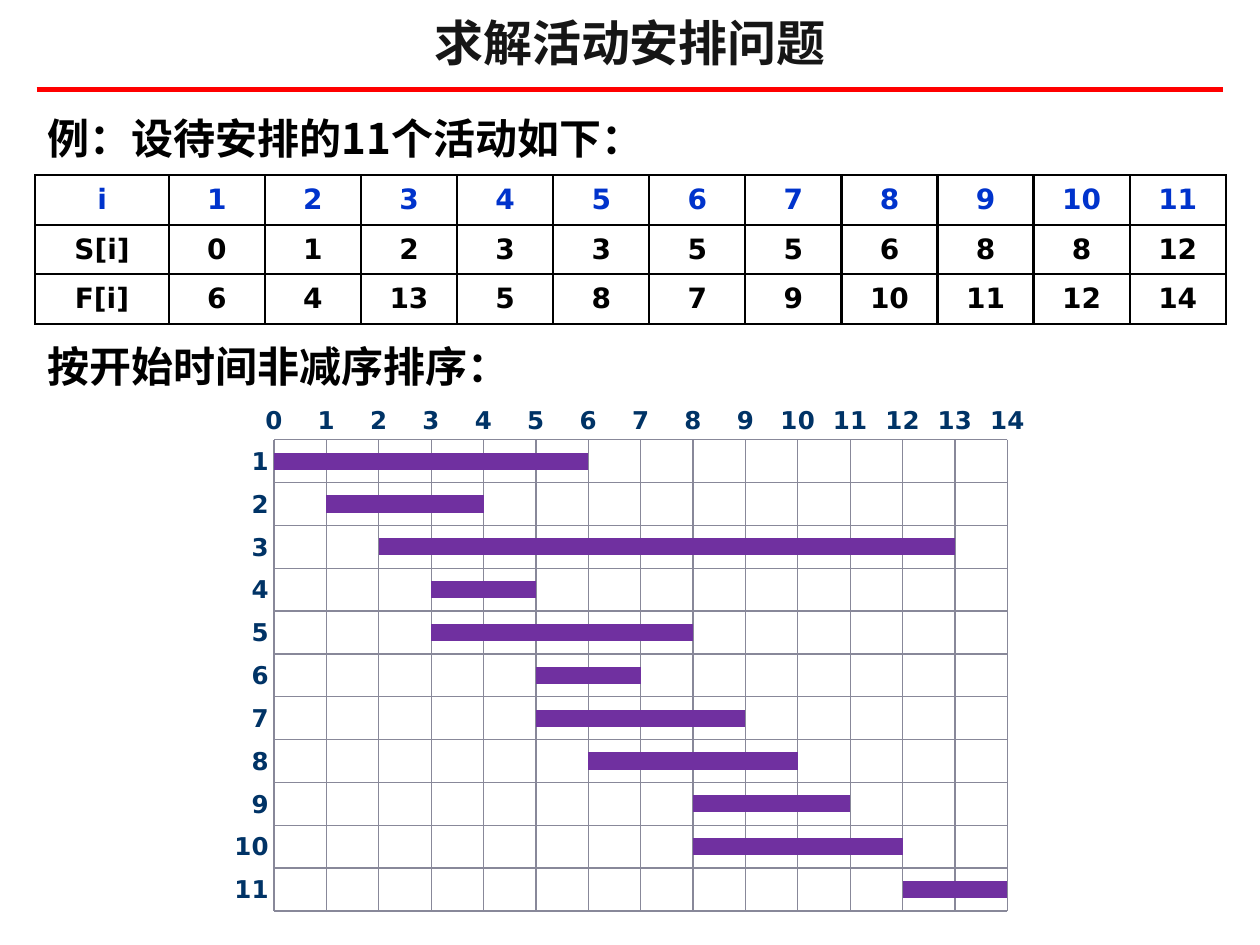
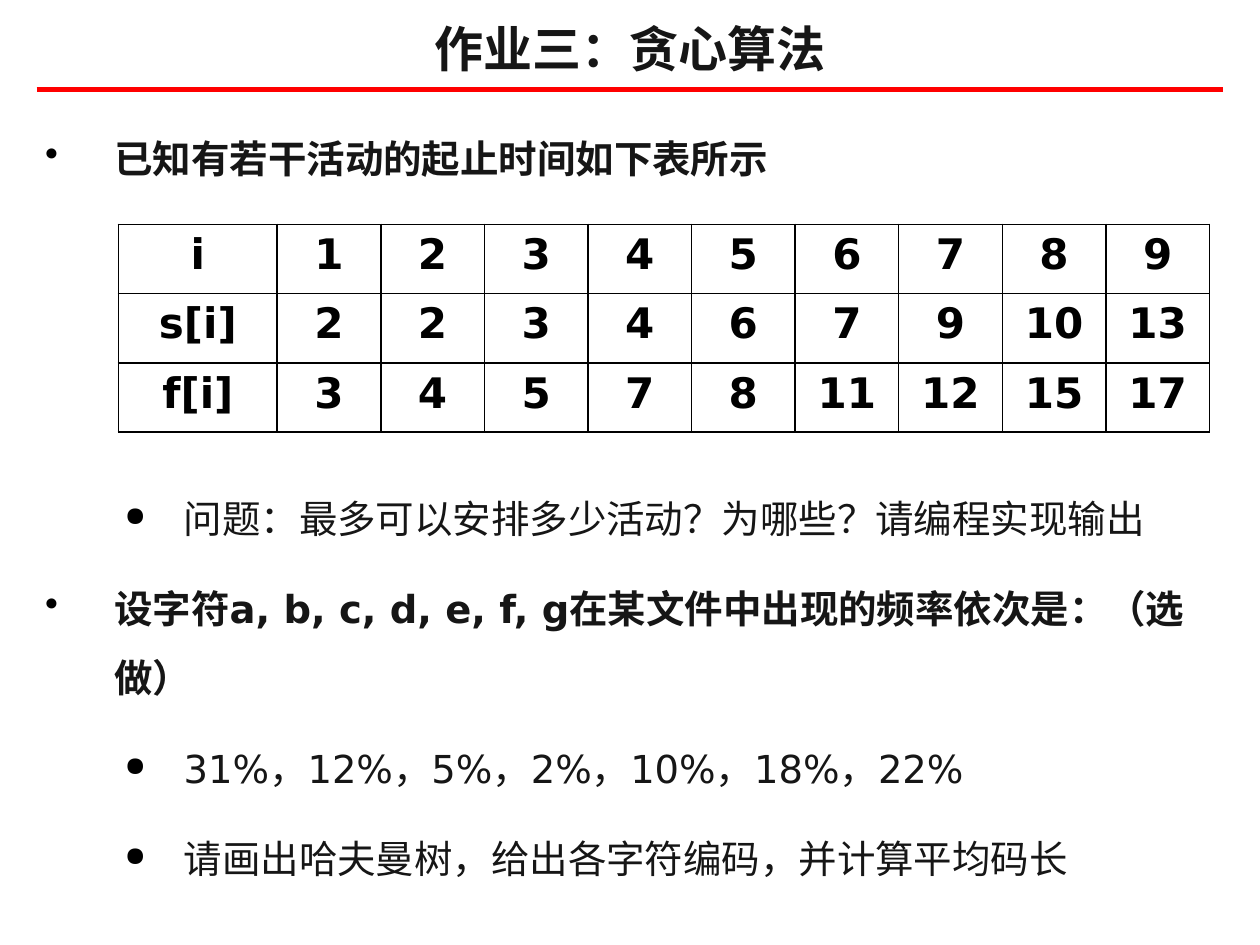
from lxml import etree
from pptx import Presentation
from pptx.chart import data
from pptx.dml.color import RGBColor
from pptx.enum import chart as kinds, shapes, text
from pptx.oxml import ns
from pptx.util import Inches, Pt

RED = RGBColor(0xFF, 0x00, 0x00)
INK = RGBColor(0x16, 0x16, 0x16)
BLACK = RGBColor(0x00, 0x00, 0x00)
BLUE = RGBColor(0x00, 0x33, 0xCC)
NAVY = RGBColor(0x00, 0x33, 0x66)
PURPLE = RGBColor(0x70, 0x30, 0xA0)
GRID = RGBColor(0x88, 0x88, 0x99)
LATIN = "DejaVu Sans"
CHINESE = "Noto Sans CJK SC"

STARTS = [0, 1, 2, 3, 3, 5, 5, 6, 8, 8, 12]
FINISHES = [6, 4, 13, 5, 8, 7, 9, 10, 11, 12, 14]
ACTIVITIES = [
    ["i", *range(1, 12)],
    ["S[i]", *STARTS],
    ["F[i]", *FINISHES],
]
HOMEWORK = [
    ["i", *range(1, 10)],
    ["s[i]", 2, 2, 3, 4, 6, 7, 9, 10, 13],
    ["f[i]", 3, 4, 5, 7, 8, 11, 12, 15, 17],
]
TABLE_GAP = 166
TASKS = [
    (0, 12, "已知有若干活动的起止时间如下表所示"),
    (1, TABLE_GAP, "问题：最多可以安排多少活动？为哪些？请编程实现输出"),
    (0, 12, "设字符a, b, c, d, e, f, g在某文件中出现的频率依次是：（选做）"),
    (1, 12, "31%，12%，5%，2%，10%，18%，22%"),
    (1, 12, "请画出哈夫曼树，给出各字符编码，并计算平均码长"),
]


def add_element(parent, tag, **attributes):
    return etree.SubElement(parent, ns.qn(tag), attributes)


def style_font(font, size, color, bold=True, name=LATIN):
    font.size = Pt(size)
    font.bold = bold
    font.name = name
    font.color.rgb = color


def style_paragraph(para, size, color, bold=True, name=LATIN):
    for span in para.runs:
        style_font(span.font, size, color, bold, name)
        add_element(span.font._element, "a:ea", typeface=CHINESE)


def add_text_box(page, left, top, width, height):
    box = page.shapes.add_textbox(
        Inches(left), Inches(top), Inches(width), Inches(height))
    box.text_frame.word_wrap = True
    return box.text_frame


def add_heading(page, left, top, width, height, words, size=24, color=BLACK,
                align=text.PP_ALIGN.LEFT):
    frame = add_text_box(page, left, top, width, height)
    frame.text = words
    para = frame.paragraphs[0]
    para.alignment = align
    style_paragraph(para, size, color, name=CHINESE)


def add_titled_page(deck, title, top, height):
    page = deck.slides.add_slide(deck.slide_layouts[6])
    rule = page.shapes.add_connector(
        shapes.MSO_CONNECTOR.STRAIGHT,
        Inches(0.29), Inches(0.71), Inches(9.71), Inches(0.71))
    rule.line.color.rgb = RED
    rule.line.width = Pt(3)
    add_element(rule._element.spPr, "a:effectLst")
    add_heading(page, 0, top, 10, height, title, 28, INK, text.PP_ALIGN.CENTER)
    return page


def add_borders(cell, points):
    properties = cell._tc.get_or_add_tcPr()
    for side in ("a:lnL", "a:lnR", "a:lnT", "a:lnB"):
        line = add_element(properties, side, w=str(Pt(points)))
        fill = add_element(line, "a:solidFill")
        add_element(fill, "a:srgbClr", val=str(BLACK))


def add_time_table(page, left, top, width, height, rows, label_width, size,
                   border, anchor, header_color=BLACK):
    columns = len(rows[0])
    table = page.shapes.add_table(
        len(rows), columns, Inches(left), Inches(top),
        Inches(width), Inches(height)).table
    table.first_row = False
    table.horz_banding = False
    value_width = (width - label_width) / (columns - 1)
    for index, column in enumerate(table.columns):
        column.width = Inches(value_width if index else label_width)
    for index, values in enumerate(rows):
        table.rows[index].height = Inches(height / len(rows))
        for cell, value in zip(table.rows[index].cells, values):
            cell.text = str(value)
            cell.vertical_anchor = anchor
            add_borders(cell, border)
            cell.fill.background()
            para = cell.text_frame.paragraphs[0]
            para.alignment = text.PP_ALIGN.CENTER
            style_paragraph(para, size, BLACK if index else header_color)


def style_axis(axis):
    axis.has_major_gridlines = True
    axis.major_tick_mark = kinds.XL_TICK_MARK.NONE
    axis.minor_tick_mark = kinds.XL_TICK_MARK.NONE
    for line in (axis.major_gridlines.format.line, axis.format.line):
        line.color.rgb = GRID
        line.width = Pt(0.75)
    style_font(axis.tick_labels.font, 14, NAVY)


def fix_plot_area(chart, **fractions):
    area = chart._chartSpace.chart.plotArea
    for old in area.findall(ns.qn("c:layout")):
        area.remove(old)
    layout = etree.Element(ns.qn("c:layout"))
    area.insert(0, layout)
    manual = add_element(layout, "c:manualLayout")
    add_element(manual, "c:layoutTarget", val="inner")
    add_element(manual, "c:xMode", val="edge")
    add_element(manual, "c:yMode", val="edge")
    for key, fraction in fractions.items():
        add_element(manual, "c:" + key, val=str(fraction))


def add_schedule_chart(page, left, top, width, height):
    schedule = data.CategoryChartData()
    schedule.categories = [str(number) for number in ACTIVITIES[0][1:]]
    schedule.add_series("Series 1", STARTS)
    schedule.add_series(
        "Series 2", [end - start for start, end in zip(STARTS, FINISHES)])
    chart = page.shapes.add_chart(
        kinds.XL_CHART_TYPE.BAR_STACKED, Inches(left), Inches(top),
        Inches(width), Inches(height), schedule).chart
    chart.has_legend = False
    chart.has_title = False
    style_font(chart.font, 10, NAVY, False)
    plot = chart.plots[0]
    plot.gap_width = 150
    plot.overlap = 100
    plot.vary_by_categories = False
    offset, duration = plot.series
    offset.format.fill.background()
    offset.format.line.fill.background()
    duration.format.fill.solid()
    duration.format.fill.fore_color.rgb = PURPLE
    style_axis(chart.category_axis)
    style_axis(chart.value_axis)
    chart.category_axis.reverse_order = True
    chart.value_axis.minimum_scale = 0
    chart.value_axis.maximum_scale = 14
    chart.value_axis.major_unit = 1
    fix_plot_area(chart, x=0.068, y=0.084, w=0.89, h=0.897)


def add_bullet(para, level):
    indent, hanging = ((0.55, -0.55), (1.1, -0.47))[level]
    properties = para._p.get_or_add_pPr()
    properties.set("marL", str(Inches(indent)))
    properties.set("indent", str(Inches(hanging)))
    color = add_element(properties, "a:buClr")
    add_element(color, "a:srgbClr", val=str(BLACK))
    if level:
        add_element(properties, "a:buSzPct", val="70000")
    add_element(properties, "a:buChar", char="•●"[level])


def add_tasks(page, left, top, width, height):
    frame = add_text_box(page, left, top, width, height)
    for index, (level, gap, words) in enumerate(TASKS):
        para = frame.add_paragraph() if index else frame.paragraphs[0]
        para.text = words
        para.line_spacing = 1.5
        para.space_before = Pt(gap)
        add_bullet(para, level)
        style_paragraph(para, 22, INK, bold=level == 0)


def build_example(deck):
    page = add_titled_page(deck, "求解活动安排问题", 0.05, 0.62)
    add_schedule_chart(page, 1.73, 3.14, 6.54, 4.17)
    add_heading(page, 0.28, 0.84, 9.45, 0.47, "例：设待安排的11个活动如下：")
    add_time_table(page, 0.28, 1.39, 9.45, 1.18, ACTIVITIES, 1.06, 16, 1.5,
                   text.MSO_ANCHOR.MIDDLE, BLUE)
    add_heading(page, 0.28, 2.65, 9.45, 0.47, "按开始时间非减序排序：")


def build_homework(deck):
    page = add_titled_page(deck, "作业三：贪心算法", 0.1, 0.68)
    add_tasks(page, 0.26, 0.84, 9.59, 6.66)
    add_time_table(page, 0.94, 1.78, 8.66, 1.65, HOMEWORK, 1.26, 24, 1,
                   text.MSO_ANCHOR.TOP)


deck = Presentation()
deck.slide_width = Inches(10)
deck.slide_height = Inches(7.5)
build_example(deck)
build_homework(deck)
deck.save("out.pptx")
